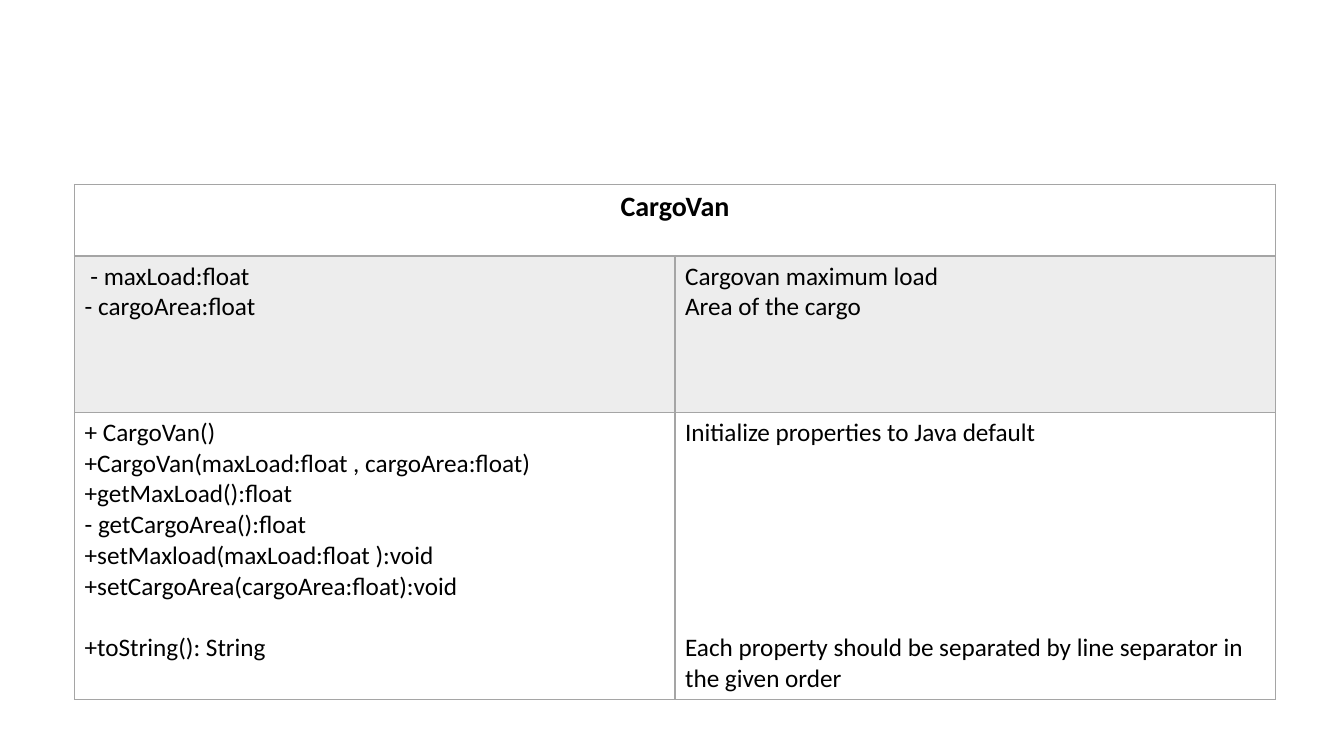
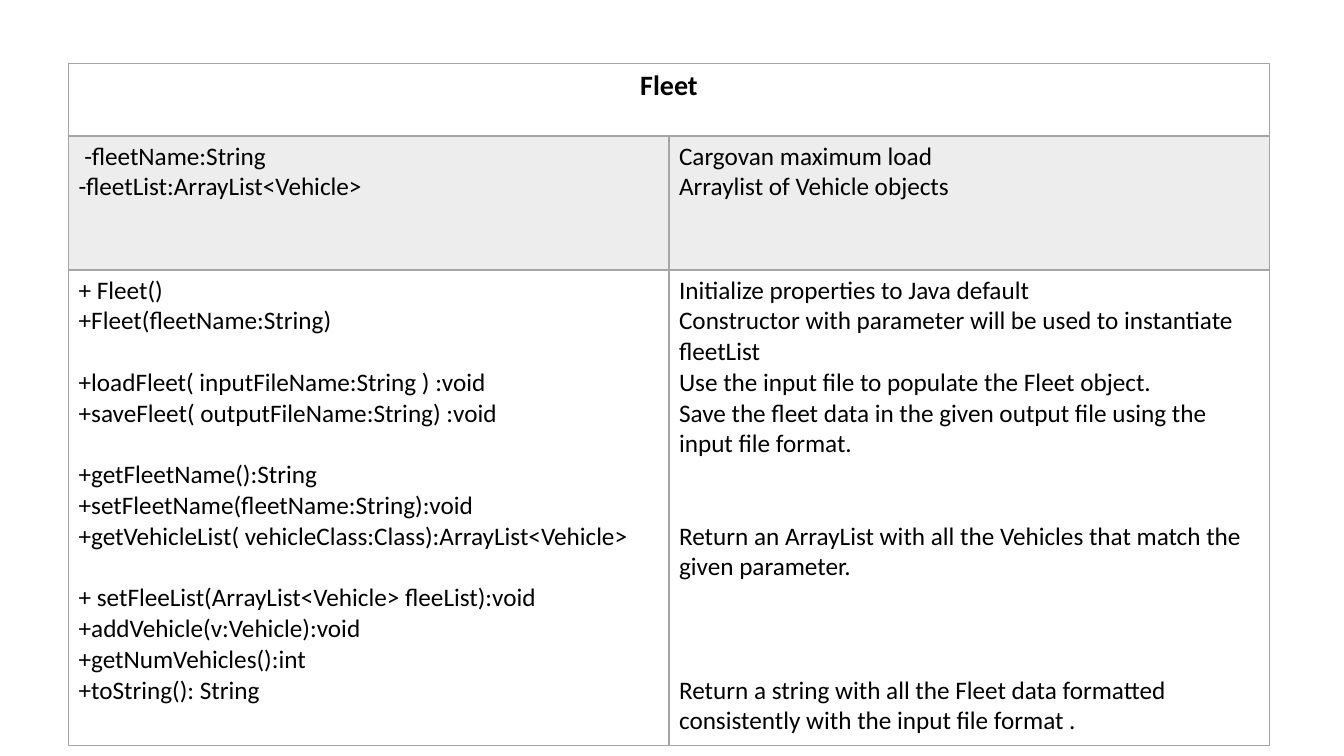
from dataclasses import dataclass

from lxml import etree
from pptx import Presentation, util as u
from pptx.dml.color import RGBColor
from pptx.enum import text
from pptx.oxml import ns

BLACK = RGBColor(0x00, 0x00, 0x00)
WHITE = RGBColor(0xFF, 0xFF, 0xFF)
SHADE = RGBColor(0xED, 0xED, 0xED)
RULE = RGBColor(0xA5, 0xA5, 0xA5)
FONT = "Calibri"
HEAD_SIZE, BODY_SIZE = 20, 18
LINE_PITCH = 22  # points from one body line to the next
SLIDE_W, SLIDE_H = u.Inches(13.33), u.Inches(7.5)
TABLE_W = 89.35  # percent of the slide width


@dataclass(frozen=True)
class Line:
    text: str
    gap: int = 0  # empty lines above


@dataclass(frozen=True)
class ClassCard:
    """Class diagram; left, top and row heights are percentages of the slide."""
    name: str
    left: float
    top: float
    rows: tuple[float, float, float]
    fields: tuple[list[Line], list[Line]]
    methods: tuple[list[Line], list[Line]]


CARDS = [
    ClassCard(
        "CargoVan", 5.55, 24.4, (9.47, 20.67, 38),
        fields=(
            [Line(" - maxLoad:float"), Line("- cargoArea:float")],
            [Line("Cargovan maximum load"), Line("Area of the cargo")],
        ),
        methods=(
            [
                Line("+ CargoVan()"),
                Line("+CargoVan(maxLoad:float , cargoArea:float)"),
                Line("+getMaxLoad():float"),
                Line("- getCargoArea():float"),
                Line("+setMaxload(maxLoad:float ):void"),
                Line("+setCargoArea(cargoArea:float):void"),
                Line("+toString(): String", gap=1),
            ],
            [
                Line("Initialize properties to Java default"),
                Line("Each property should be separated by line separator in the given order", gap=6),
            ],
        ),
    ),
    ClassCard(
        "Fleet", 5.1, 8.4, (9.6, 17.73, 62.93),
        fields=(
            [Line(" -fleetName:String"), Line("-fleetList:ArrayList<Vehicle>")],
            [Line("Cargovan maximum load"), Line("Arraylist of Vehicle objects")],
        ),
        methods=(
            [
                Line("+ Fleet()"),
                Line("+Fleet(fleetName:String)"),
                Line("+loadFleet( inputFileName:String ) :void", gap=1),
                Line("+saveFleet( outputFileName:String) :void"),
                Line("+getFleetName():String", gap=1),
                Line("+setFleetName(fleetName:String):void"),
                Line("+getVehicleList( vehicleClass:Class):ArrayList<Vehicle>"),
                Line("+ setFleeList(ArrayList<Vehicle> fleeList):void", gap=1),
                Line("+addVehicle(v:Vehicle):void"),
                Line("+getNumVehicles():int"),
                Line("+toString(): String"),
            ],
            [
                Line("Initialize properties to Java default"),
                Line("Constructor with parameter will be used to instantiate fleetList"),
                Line("Use the input file to populate the Fleet object."),
                Line("Save the fleet data in the given output file using the input file format."),
                Line("Return an ArrayList with all the Vehicles that match the given parameter.", gap=2),
                Line("Return a string with all the Fleet data formatted consistently with the input file format .",
                     gap=3),
            ],
        ),
    ),
]


def share(percent: float, length: int) -> int:
    return round(length * percent / 100)


def write_lines(tf, lines: list[Line], *, size: int = BODY_SIZE, bold: bool = False,
                align=text.PP_ALIGN.LEFT) -> None:
    for i, line in enumerate(lines):
        p = tf.add_paragraph() if i else tf.paragraphs[0]
        p.alignment = align
        p.space_before = u.Pt(line.gap * LINE_PITCH)
        r = p.add_run()
        r.text = line.text
        r.font.name, r.font.size, r.font.bold = FONT, u.Pt(size), bold
        r.font.color.rgb = BLACK


def style_cell(cell, fill: RGBColor, *, top: float = 1, bottom: float = 1) -> None:
    """Draw the four borders, widths in points, and the fill."""
    tc_pr = cell._tc.get_or_add_tcPr()
    for side, width in zip("LRTB", (1, 1, top, bottom)):
        ln = etree.SubElement(tc_pr, ns.qn(f"a:ln{side}"), w=str(u.Pt(width)))
        solid = etree.SubElement(ln, ns.qn("a:solidFill"))
        etree.SubElement(solid, ns.qn("a:srgbClr"), val=str(RULE))
    cell.fill.solid()
    cell.fill.fore_color.rgb = fill


def add_class_card(s, card: ClassCard) -> None:
    table = s.shapes.add_table(
        3, 2, share(card.left, SLIDE_W), share(card.top, SLIDE_H),
        share(TABLE_W, SLIDE_W), share(sum(card.rows), SLIDE_H)).table
    table.first_row = table.horz_banding = False
    for row, height in zip(table.rows, card.rows):
        row.height = share(height, SLIDE_H)

    head = table.cell(0, 0)
    head.merge(table.cell(0, 1))
    write_lines(head.text_frame, [Line(card.name)], size=HEAD_SIZE, bold=True,
                align=text.PP_ALIGN.CENTER)
    for col in range(2):
        style_cell(table.cell(0, col), WHITE, bottom=2)
        style_cell(table.cell(1, col), SHADE, top=2)
        style_cell(table.cell(2, col), WHITE)
        write_lines(table.cell(1, col).text_frame, card.fields[col])
        write_lines(table.cell(2, col).text_frame, card.methods[col])


def main() -> None:
    prs = Presentation()
    prs.slide_width, prs.slide_height = SLIDE_W, SLIDE_H
    for card in CARDS:
        add_class_card(prs.slides.add_slide(prs.slide_layouts[6]), card)
    prs.save("out.pptx")


if __name__ == "__main__":
    main()
